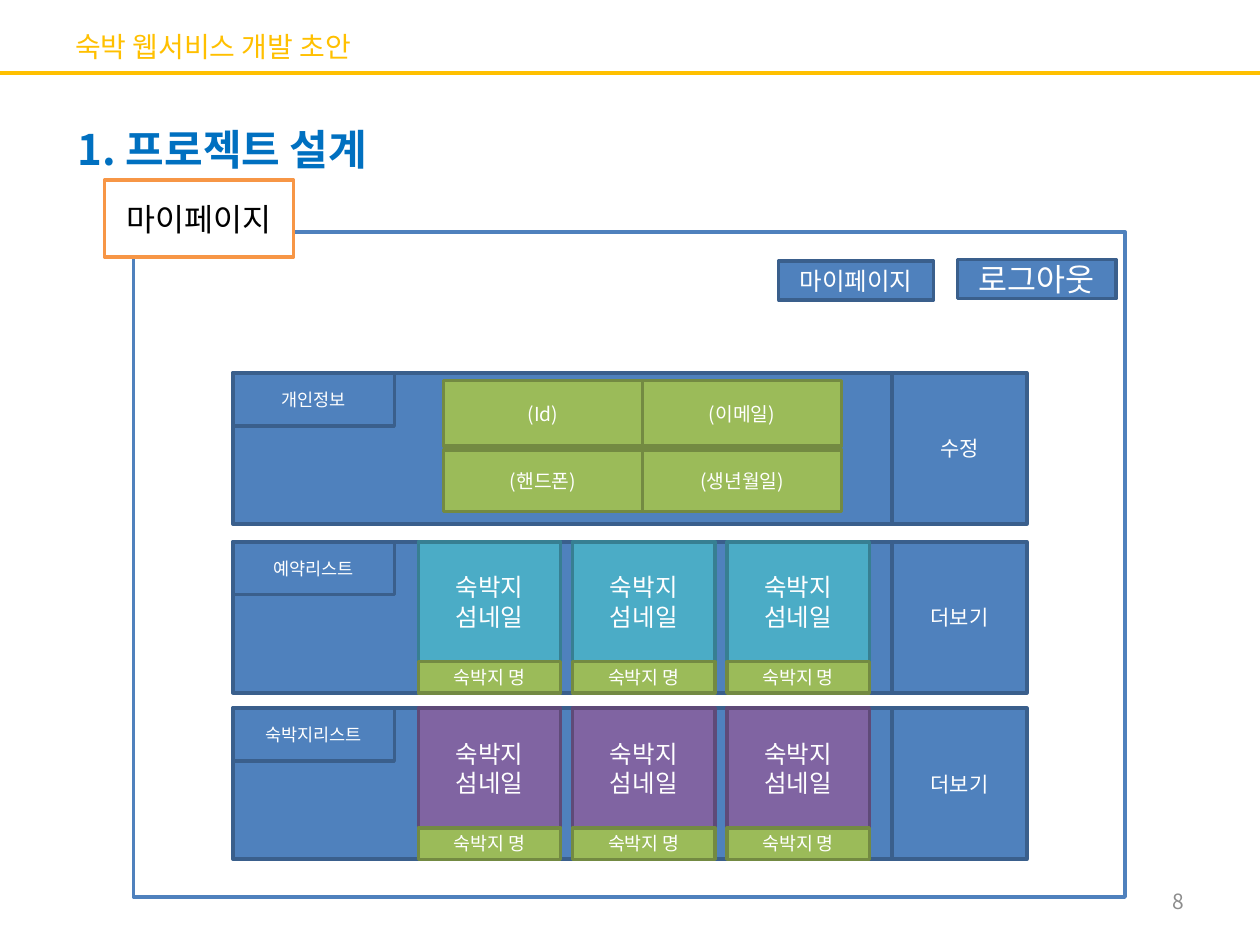
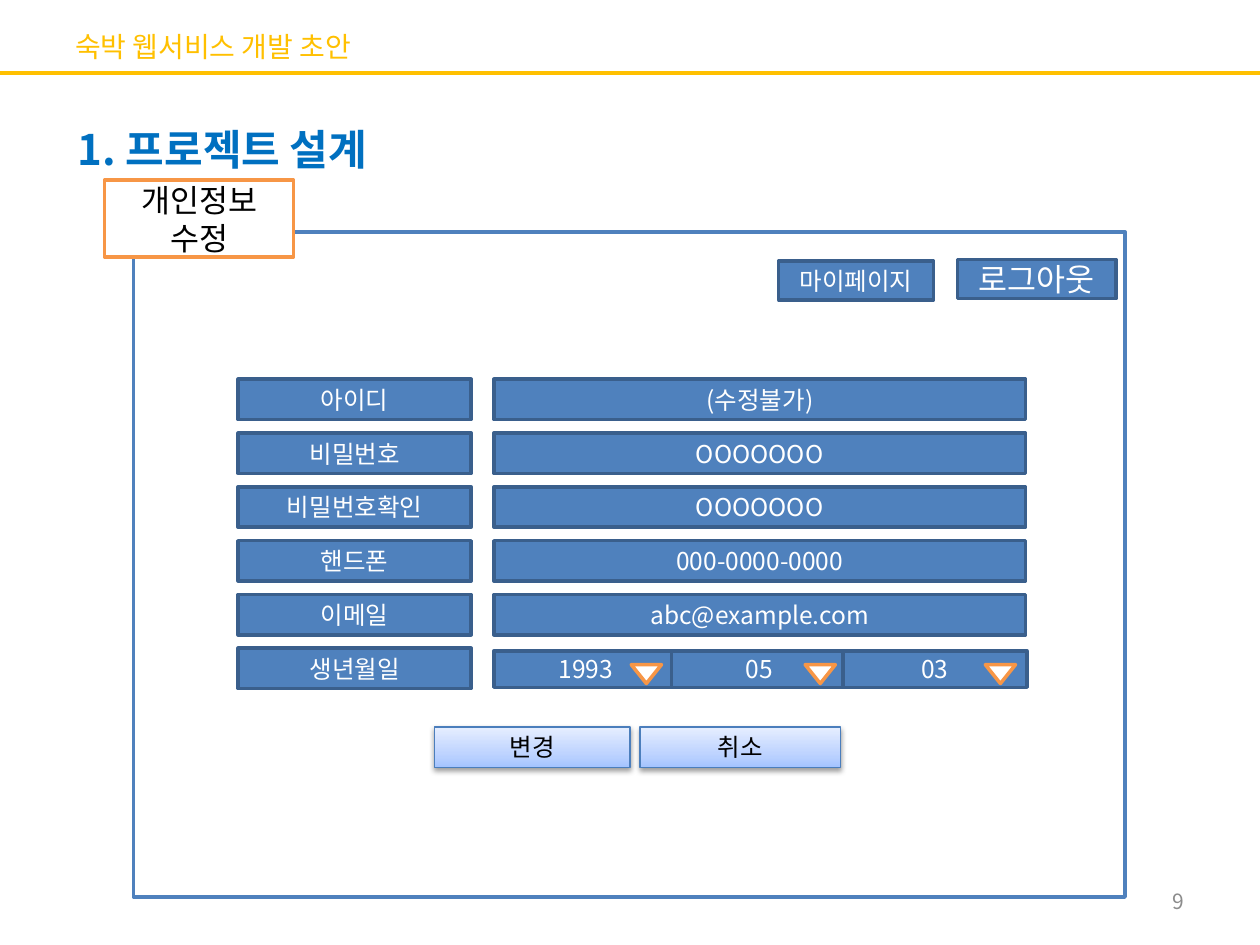
from dataclasses import dataclass
from lxml import etree
from pptx import Presentation
from pptx.dml.color import RGBColor
from pptx.enum.shapes import MSO_CONNECTOR, MSO_SHAPE
from pptx.enum.text import MSO_ANCHOR, PP_ALIGN
from pptx.oxml import parse_xml
from pptx.oxml.ns import nsdecls, qn
from pptx.util import Inches, Pt

RECTANGLE, TRIANGLE = MSO_SHAPE.RECTANGLE, MSO_SHAPE.ISOSCELES_TRIANGLE
STRAIGHT = MSO_CONNECTOR.STRAIGHT
LEFT, CENTER, RIGHT = PP_ALIGN.LEFT, PP_ALIGN.CENTER, PP_ALIGN.RIGHT
TOP, MIDDLE = MSO_ANCHOR.TOP, MSO_ANCHOR.MIDDLE

# ---- Content ----
DECK_TITLE = "숙박 웹서비스 개발 초안"
SECTION_TITLE = "1. 프로젝트 설계"
MY_PAGE, LOG_OUT = "마이페이지", "로그아웃"
THUMBNAIL, LODGING_NAME = "숙박지 섬네일", "숙박지 명"
THUMBNAIL_COUNT = 3

# label, action, top, thumbnail style
PANELS = [
    ("개인정보", "수정", 2.96, None),
    ("예약리스트", "더보기", 4.3, "teal"),
    ("숙박지리스트", "더보기", 5.62, "purple"),
]
PROFILE_FIELDS = [("(Id)", "(이메일)"), ("(핸드폰)", "(생년월일)")]

FORM_ROWS = [
    ("아이디", "(수정불가)"),
    ("비밀번호", "OOOOOOO"),
    ("비밀번호확인", "OOOOOOO"),
    ("핸드폰", "000-0000-0000"),
    ("이메일", "abc@example.com"),
]
BIRTH_LABEL = "생년월일"
# value, left, width, left of the drop-down mark
BIRTH_PARTS = [
    ("1993", 3.92, 1.46, 5.01),
    ("05", 5.33, 1.39, 6.39),
    ("03", 6.69, 1.46, 7.82),
]
# text, left, width
FORM_BUTTONS = [("변경", 3.45, 1.55), ("취소", 5.08, 1.59)]


# ---- Theme ----
@dataclass(frozen=True)
class Style:
    fill: str
    line: str
    text: str = "FFFFFF"
    line_width: float = 2


class Theme:
    font = "Noto Sans CJK KR"
    gold, heading, grey = "FFC000", "0070C0", "8C8C8C"
    styles = {
        "blue": Style("4F81BD", "3A5F8C"),
        "green": Style("9BBB59", "738A42"),
        "teal": Style("4BACC6", "377F92"),
        "purple": Style("8064A2", "5F4A78"),
        "frame": Style("FFFFFF", "4F81BD"),
        "tab": Style("FFFFFF", "F79646", "000000"),
        "button": Style("", "4B7EBC", "000000", 0.75),
    }
    button_stops = [(0, "A4C4FF"), (35, "BFD4FF"), (100, "E6EEFF")]
    section, large, title, control = 24, 18, 16, 14
    action, field, name, label = 12, 11, 10.5, 10


def rgb(value):
    return RGBColor.from_string(value)


def write_text(shape, text, size, color, align=CENTER, anchor=MIDDLE,
               bold=False, wrap=True):
    frame = shape.text_frame
    frame.word_wrap = wrap
    frame.vertical_anchor = anchor
    frame.text = text
    paragraph = frame.paragraphs[0]
    paragraph.alignment = align
    font = paragraph.runs[0].font
    font.size, font.bold, font.name = Pt(size), bold, Theme.font
    font.color.rgb = rgb(color)
    east_asian = etree.SubElement(paragraph.runs[0]._r.rPr, qn("a:ea"))
    east_asian.set("typeface", Theme.font)


def add_label(slide, box, text, size, color, **options):
    shape = slide.shapes.add_textbox(*map(Inches, box))
    write_text(shape, text, size, color, **options)


def add_box(slide, box, style_name, text="", size=Theme.control, kind=RECTANGLE):
    style = Theme.styles[style_name]
    shape = slide.shapes.add_shape(kind, *map(Inches, box))
    shape.shadow.inherit = False
    if style.fill:
        shape.fill.solid()
        shape.fill.fore_color.rgb = rgb(style.fill)
    shape.line.color.rgb = rgb(style.line)
    shape.line.width = Pt(style.line_width)
    if text:
        write_text(shape, text, size, style.text)
    return shape


def add_raised_button(slide, box, text):
    """Button with an upward gradient and a soft shadow below."""
    shape = add_box(slide, box, "button", text)
    stops = "".join(
        f'<a:gs pos="{position * 1000}"><a:srgbClr val="{color}"/></a:gs>'
        for position, color in Theme.button_stops)
    gradient = parse_xml(
        f'<a:gradFill {nsdecls("a")} rotWithShape="1"><a:gsLst>{stops}</a:gsLst>'
        '<a:lin ang="16200000" scaled="0"/></a:gradFill>')
    properties = shape._element.spPr
    properties.find(qn("a:prstGeom")).addnext(gradient)
    properties.find(qn("a:effectLst")).append(parse_xml(
        f'<a:outerShdw {nsdecls("a")} blurRad="{Pt(3.1)}" dist="{Pt(1.6)}"'
        ' dir="5400000" rotWithShape="0"><a:srgbClr val="000000">'
        '<a:alpha val="38000"/></a:srgbClr></a:outerShdw>'))


def add_page(presentation, tab_text, number):
    """Blank slide with everything that both screens share."""
    slide = presentation.slides.add_slide(presentation.slide_layouts[6])
    rule = slide.shapes.add_connector(
        STRAIGHT, 0, Inches(0.58), presentation.slide_width, Inches(0.58))
    rule.line.color.rgb = rgb(Theme.gold)
    rule.line.width = Pt(2.25)
    etree.SubElement(rule._element.spPr, qn("a:effectLst"))

    add_box(slide, (1.06, 1.84, 7.87, 5.28), "frame")
    add_box(slide, (6.18, 2.07, 1.23, 0.31), "blue", MY_PAGE)
    add_box(slide, (7.6, 2.06, 1.26, 0.31), "blue", LOG_OUT, Theme.large)
    add_label(slide, (0.5, 0.13, 9, 0.47), DECK_TITLE, Theme.title, Theme.gold,
              align=LEFT)
    add_label(slide, (0.52, 0.93, 2.74, 0.5), SECTION_TITLE, Theme.section,
              Theme.heading, align=LEFT, anchor=TOP, bold=True, wrap=False)
    add_label(slide, (7.17, 6.95, 2.33, 0.4), str(number), Theme.action,
              Theme.grey, align=RIGHT)
    add_box(slide, (0.83, 1.43, 1.5, 0.61), "tab", tab_text, Theme.large)
    return slide


def add_panel(slide, label, action, top, thumbnail_style):
    left, width, height = 1.85, 5.23, 1.2
    add_box(slide, (left, top, width, height), "blue")
    add_box(slide, (left + width, top, 1.07, height), "blue", action, Theme.action)
    add_box(slide, (left, top, 1.28, 0.42), "blue", label, Theme.label)
    if not thumbnail_style:
        return
    card_width, image_height = 1.13, 0.95
    for index in range(THUMBNAIL_COUNT):
        card_left = 3.32 + index * 1.225
        add_box(slide, (card_left, top, card_width, image_height),
                thumbnail_style, THUMBNAIL)
        add_box(slide, (card_left, top + image_height, card_width,
                        height - image_height),
                "green", LODGING_NAME, Theme.name)


def build_my_page(presentation):
    slide = add_page(presentation, "마이페이지", 8)
    for panel in PANELS:
        add_panel(slide, *panel)
    width = 1.58
    for fields, top, height in zip(PROFILE_FIELDS, (3.02, 3.57), (0.52, 0.49)):
        for column, field in enumerate(fields):
            add_box(slide, (3.52 + column * width, top, width, height),
                    "green", field, Theme.field)


def build_profile_form(presentation):
    slide = add_page(presentation, "개인정보 수정", 9)
    label_left, label_width, value_left, value_width = 1.89, 1.85, 3.92, 4.22
    first_top, pitch, height = 3.01, 0.427, 0.32
    for index, (label, value) in enumerate(FORM_ROWS):
        top = first_top + index * pitch
        add_box(slide, (label_left, top, label_width, height), "blue", label)
        add_box(slide, (value_left, top, value_width, height), "blue", value)

    birth_top = first_top + len(FORM_ROWS) * pitch
    add_box(slide, (label_left, birth_top, label_width, height), "blue", BIRTH_LABEL)
    for value, left, width, mark_left in BIRTH_PARTS:
        add_box(slide, (left, birth_top + 0.02, width, 0.29), "blue", value)
        mark = add_box(slide, (mark_left, birth_top + 0.13, 0.24, 0.15), "tab",
                       kind=TRIANGLE)
        mark.rotation = 180

    for text, left, width in FORM_BUTTONS:
        add_raised_button(slide, (left, 5.77, width, height), text)


def main():
    presentation = Presentation()
    presentation.slide_width, presentation.slide_height = Inches(10), Inches(7.5)
    build_my_page(presentation)
    build_profile_form(presentation)
    presentation.save("out.pptx")


if __name__ == "__main__":
    main()
